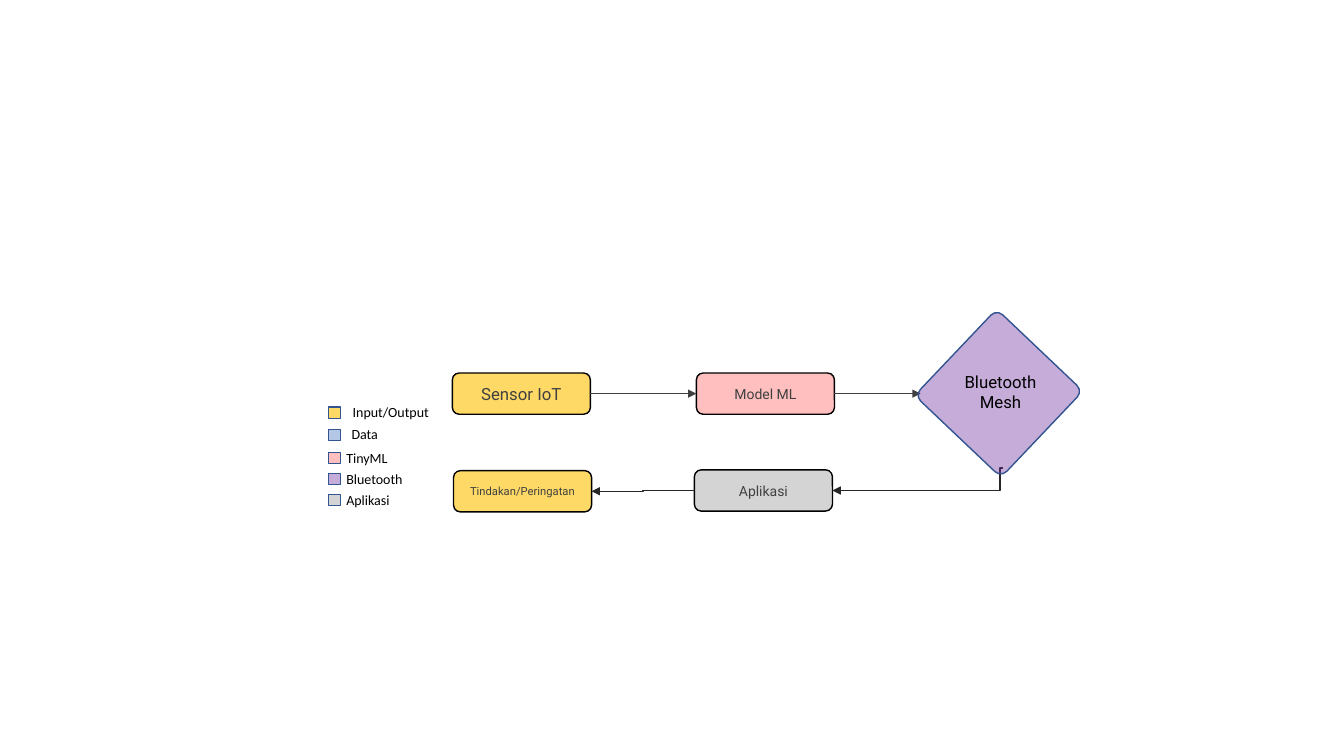
from lxml.etree import SubElement
from pptx import Presentation
from pptx.dml.color import RGBColor
from pptx.enum.shapes import MSO_CONNECTOR, MSO_SHAPE
from pptx.enum.text import MSO_ANCHOR, MSO_AUTO_SIZE, PP_ALIGN
from pptx.oxml.ns import qn
from pptx.util import Cm, Pt

BLACK = RGBColor(0x00, 0x00, 0x00)
CHARCOAL = RGBColor(0x40, 0x40, 0x40)
DARK = RGBColor(0x26, 0x26, 0x26)
NAVY = RGBColor(0x32, 0x54, 0x91)
YELLOW = RGBColor(0xFF, 0xD9, 0x66)
BLUE = RGBColor(0xB4, 0xC7, 0xE7)
RED = RGBColor(0xFF, 0x00, 0x00)
PINK = RGBColor(0xFF, 0xBF, 0xBF)
PURPLE = RGBColor(0x70, 0x30, 0xA0)
LILAC = RGBColor(0xC6, 0xAC, 0xD9)
GREY = RGBColor(0xD4, 0xD4, 0xD4)

NODE_WIDTH, NODE_HEIGHT = 3.48, 1.04
SWATCH_LEFT, LABEL_LEFT = 8.28, 8.48

# name, left, top, text size, fill, opacity in percent
NODES = [
    ("Sensor IoT", 11.4, 9.4, 12, YELLOW, 100),
    ("Model ML", 17.55, 9.4, 10, RED, 25),
    ("Aplikasi", 17.5, 11.84, 10, GREY, 100),
    ("Tindakan/Peringatan", 11.43, 11.86, 8, YELLOW, 100),
]
# name, swatch top, swatch fill, extra text offset
LEGEND = [
    ("Input/Output", 10.26, YELLOW, 0.16),
    ("Data", 10.82, BLUE, 0.13),
    ("TinyML", 11.4, PINK, 0),
    ("Bluetooth", 11.93, LILAC, 0),
    ("Aplikasi", 12.46, GREY, 0),
]


def write_text(shape, text, size=10, font="Roboto", color=CHARCOAL, align=PP_ALIGN.CENTER):
    frame = shape.text_frame
    frame.word_wrap = True
    para = frame.paragraphs[0]
    para.alignment = align
    span = para.add_run()
    span.text = text
    span.font.size = Pt(size)
    span.font.name = font
    span.font.color.rgb = color


def add_box(page, kind, left, top, width, height, fill, line=BLACK, opacity=100):
    box = page.shapes.add_shape(kind, Cm(left), Cm(top), Cm(width), Cm(height))
    box.shadow.inherit = False
    box.fill.solid()
    box.fill.fore_color.rgb = fill
    box.line.color.rgb = line
    box.line.width = Pt(1)
    if opacity < 100:
        color = box.fill._xPr.find(qn("a:solidFill"))[0]
        SubElement(color, qn("a:alpha"), val=str(opacity * 1000))
    return box


def add_label(page, text, left, top, width, height, **text_format):
    label = page.shapes.add_textbox(Cm(left), Cm(top), Cm(width), Cm(height))
    write_text(label, text, **text_format)
    label.text_frame.auto_size = MSO_AUTO_SIZE.SHAPE_TO_FIT_TEXT


def add_arrow(page, start, end, color, kind=MSO_CONNECTOR.ELBOW, bend=None):
    """Draw an arrow; bend is the share of its width at which an elbow turns."""
    arrow = page.shapes.add_connector(kind, *map(Cm, start + end))
    arrow.line.color.rgb = color
    arrow.line.width = Pt(1)
    properties = arrow._element.spPr
    SubElement(properties.find(qn("a:ln")), qn("a:tailEnd"), type="triangle")
    SubElement(properties, qn("a:effectLst"))
    if bend is not None:
        geometry = properties.find(qn("a:prstGeom"))
        adjustments = geometry.find(qn("a:avLst"))
        if adjustments is None:
            adjustments = SubElement(geometry, qn("a:avLst"))
        SubElement(adjustments, qn("a:gd"), name="adj1", fmla=f"val {round(bend * 100000)}")


def add_node(page, name, left, top, size, fill, opacity):
    node = add_box(page, MSO_SHAPE.ROUNDED_RECTANGLE, left, top, NODE_WIDTH, NODE_HEIGHT,
                   fill, opacity=opacity)
    node.text_frame.vertical_anchor = MSO_ANCHOR.MIDDLE
    write_text(node, name, size=size)


def add_legend_entry(page, name, top, fill, offset):
    add_box(page, MSO_SHAPE.RECTANGLE, SWATCH_LEFT, top, 0.3, 0.28, fill, line=NAVY)
    add_label(page, name, LABEL_LEFT + offset, top - 0.21, 3.15, 0.68,
              font="Calibri", color=BLACK, align=PP_ALIGN.LEFT)


def add_mesh_diamond(page):
    diamond = add_box(page, MSO_SHAPE.ROUNDED_RECTANGLE, 23.67, 8.41, 3, 3,
                      PURPLE, line=NAVY, opacity=40)
    diamond.adjustments[0] = 0.07
    diamond.rotation = 133.5
    add_label(page, "Bluetooth Mesh", 23.6, 9.25, 3.23, 1.27, size=12, color=BLACK)


def main():
    deck = Presentation()
    deck.slide_width, deck.slide_height = Cm(33.87), Cm(19.05)
    page = deck.slides.add_slide(deck.slide_layouts[6])

    for node in NODES:
        add_node(page, *node)
    add_arrow(page, (14.88, 9.92), (17.55, 9.92), CHARCOAL)
    add_arrow(page, (21.03, 9.92), (23.2, 9.92), CHARCOAL, kind=MSO_CONNECTOR.STRAIGHT)
    add_arrow(page, (25.27, 11.79), (20.98, 12.36), DARK, bend=0.015)
    add_arrow(page, (17.5, 12.36), (14.91, 12.38), DARK)
    for entry in LEGEND:
        add_legend_entry(page, *entry)
    add_mesh_diamond(page)

    deck.save("out.pptx")


if __name__ == "__main__":
    main()
